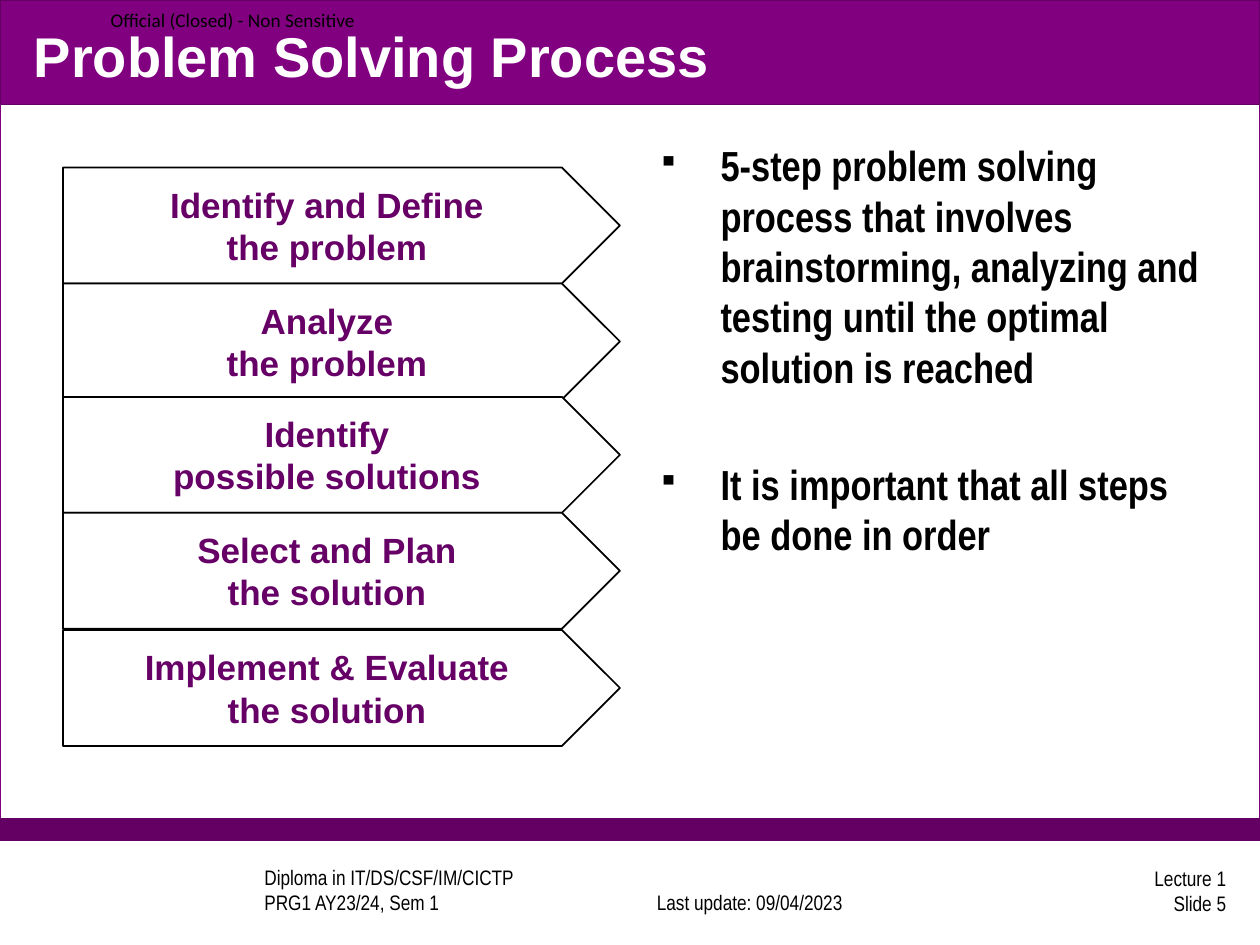
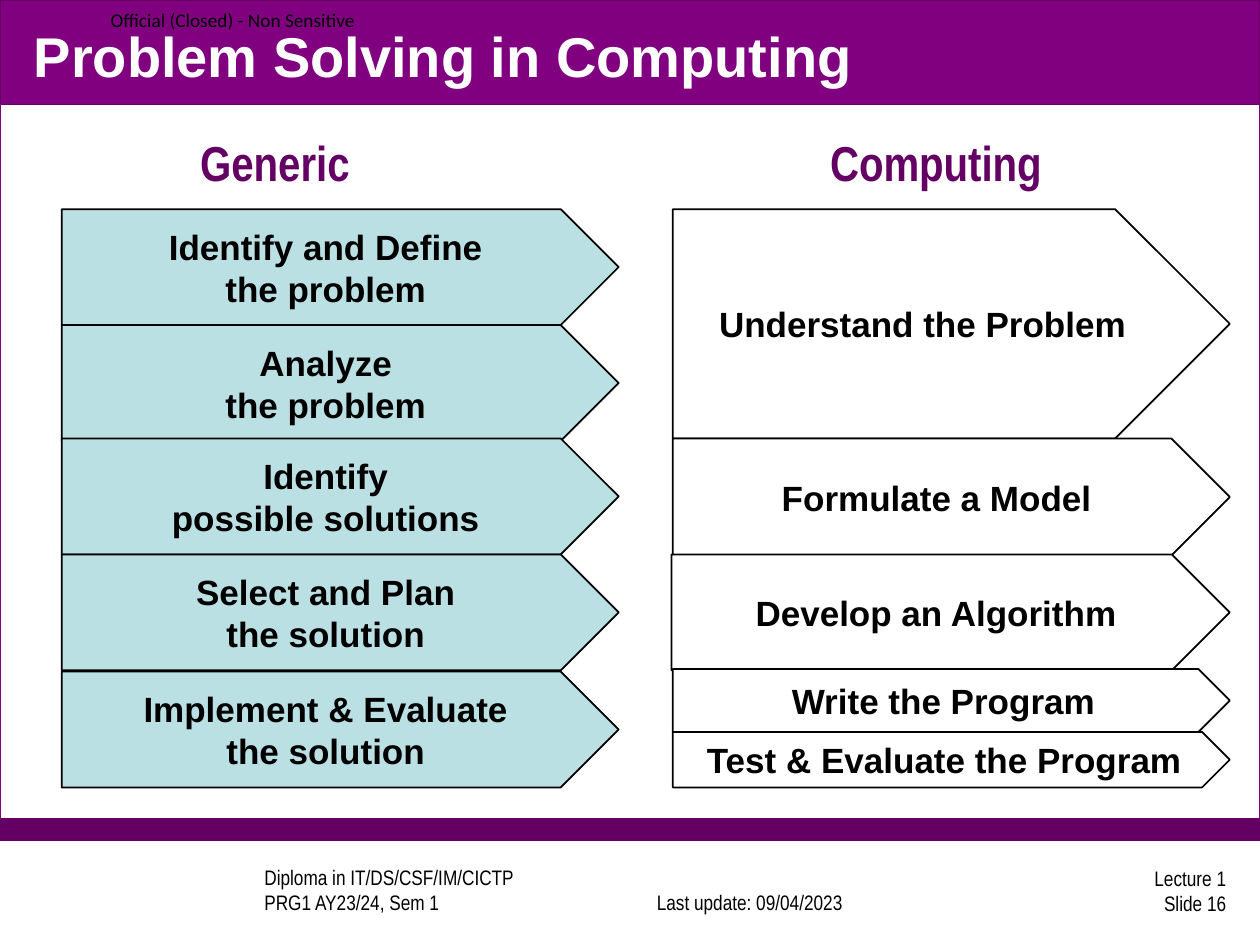
from dataclasses import dataclass

from lxml.etree import SubElement
from pptx import Presentation
from pptx.dml.color import RGBColor
from pptx.enum.shapes import MSO_SHAPE
from pptx.enum.text import MSO_ANCHOR, PP_ALIGN
from pptx.oxml.ns import qn
from pptx.util import Inches, Pt


@dataclass(frozen=True)
class Theme:
    purple: str = "800080"
    dark_purple: str = "640064"
    step_purple: str = "660066"
    pale_blue: str = "BBE0E3"
    white: str = "FFFFFF"
    black: str = "000000"
    font: str = "Arial"
    narrow: str = "Arial Narrow"
    label_font: str = "Calibri"
    title_size: int = 32
    heading_size: int = 28
    body_size: int = 24
    step_size: int = 20
    footer_size: int = 12
    label_size: int = 11


T = Theme()

STEP_HEIGHT = 0.92
STEP_OFFSETS = (0, 0.92, 1.82, 2.74, 3.67)
GENERIC_STEPS = (
    "Identify and Define\nthe problem",
    "Analyze\nthe problem",
    "Identify\npossible solutions",
    "Select and Plan\nthe solution",
    "Implement & Evaluate\nthe solution",
)
# Text, left, top, width, height
COMPUTING_STEPS = (
    ("Understand the Problem", 5.34, 1.66, 4.42, 1.82),
    ("Formulate a Model", 5.34, 3.48, 4.42, 0.93),
    ("Develop an Algorithm", 5.33, 4.4, 4.43, 0.92),
    ("Write the Program", 5.34, 5.31, 4.42, 0.5),
    ("Test & Evaluate the Program", 5.34, 5.81, 4.42, 0.44),
)


def set_text(tf, text, size, color, font=T.font, bold=False,
             align=PP_ALIGN.LEFT, anchor=MSO_ANCHOR.MIDDLE):
    tf.word_wrap = True
    tf.vertical_anchor = anchor
    tf.text = text
    for p in tf.paragraphs:
        p.alignment = align
        for r in p.runs:
            r.font.name = font
            r.font.size = Pt(size)
            r.font.bold = bold
            r.font.color.rgb = RGBColor.from_string(color)


def add_text(s, box, text, size, color, **style):
    tf = s.shapes.add_textbox(*map(Inches, box)).text_frame
    set_text(tf, text, size, color, **style)
    return tf


def add_box(s, kind, box, fill, line, line_width):
    sp = s.shapes.add_shape(kind, *map(Inches, box))
    sp.shadow.inherit = False
    sp.fill.solid()
    sp.fill.fore_color.rgb = RGBColor.from_string(fill)
    sp.line.color.rgb = RGBColor.from_string(line)
    sp.line.width = Pt(line_width)
    return sp


def add_step(s, box, text, fill, color):
    sp = add_box(s, MSO_SHAPE.PENTAGON, box, fill, T.black, 1)
    set_text(sp.text_frame, text, T.step_size, color, bold=True,
             align=PP_ALIGN.CENTER)


def add_generic_steps(s, left, top, fill, color):
    for text, offset in zip(GENERIC_STEPS, STEP_OFFSETS):
        add_step(s, (left, top + offset, 4.42, STEP_HEIGHT), text, fill, color)


def add_bullets(s, box, items):
    tf = add_text(s, box, "\n".join(items), T.body_size, T.black,
                  font=T.narrow, bold=True, anchor=MSO_ANCHOR.TOP)
    for i, p in enumerate(tf.paragraphs):
        p.space_before = Pt(38 if i else 0)
        pPr = p._p.get_or_add_pPr()
        pPr.set("marL", str(Inches(0.5)))
        pPr.set("indent", str(-Inches(0.5)))
        SubElement(pPr, qn("a:buSzPct")).set("val", "70000")
        SubElement(pPr, qn("a:buChar")).set("char", "▪")


def add_slide(prs, title, number):
    s = prs.slides.add_slide(prs.slide_layouts[6])

    # Frame and bands
    for box, fill, line in (
        ((0, 0, 10, 6.67), T.white, T.purple),
        ((0, 6.5, 10, 0.17), T.dark_purple, T.dark_purple),
        ((0, 0, 10, 0.83), T.purple, T.dark_purple),
    ):
        add_box(s, MSO_SHAPE.RECTANGLE, box, fill, line, 0.75)

    # Footers
    for box, text, align, anchor in (
        ((2, 6.89, 2.67, 0.42), "Diploma in IT/DS/CSF/IM/CICTP\vPRG1 AY23/24, Sem 1",
         PP_ALIGN.LEFT, MSO_ANCHOR.BOTTOM),
        ((4.91, 6.89, 2.08, 0.42), "Last update: 09/04/2023",
         PP_ALIGN.CENTER, MSO_ANCHOR.BOTTOM),
        ((7.75, 6.86, 2.08, 0.42), f"Lecture 1\vSlide {number}",
         PP_ALIGN.RIGHT, MSO_ANCHOR.MIDDLE),
    ):
        add_text(s, box, text, T.footer_size, T.black, font=T.narrow,
                 align=align, anchor=anchor)

    # Classification label and title
    add_text(s, (0.78, 0, 2.5, 0.31), "Official (Closed) - Non Sensitive",
             T.label_size, T.black, font=T.label_font)
    add_text(s, (0.17, 0.13, 9.58, 0.62), title, T.title_size, T.white, bold=True)
    return s


def build_process(prs):
    s = add_slide(prs, "Problem Solving Process", 5)
    add_bullets(s, (5.12, 1.06, 4.58, 5.08), (
        "5-step problem solving process that involves brainstorming, "
        "analyzing and testing until the optimal solution is reached",
        "It is important that all steps be done in order",
    ))
    add_generic_steps(s, 0.5, 1.33, T.white, T.step_purple)


def build_computing(prs):
    s = add_slide(prs, "Problem Solving in Computing", 16)
    add_generic_steps(s, 0.49, 1.66, T.pale_blue, T.black)
    for text, *box in COMPUTING_STEPS:
        add_step(s, box, text, T.white, T.black)

    # Column headings
    for left, heading in ((1.49, "Generic"), (6.49, "Computing")):
        add_text(s, (left, 1, 2.5, 0.6), heading, T.heading_size, T.dark_purple,
                 font=T.narrow, bold=True, anchor=MSO_ANCHOR.TOP)


def main():
    prs = Presentation()
    prs.slide_width = Inches(10)
    prs.slide_height = Inches(7.5)
    build_process(prs)
    build_computing(prs)
    prs.save("out.pptx")


if __name__ == "__main__":
    main()
